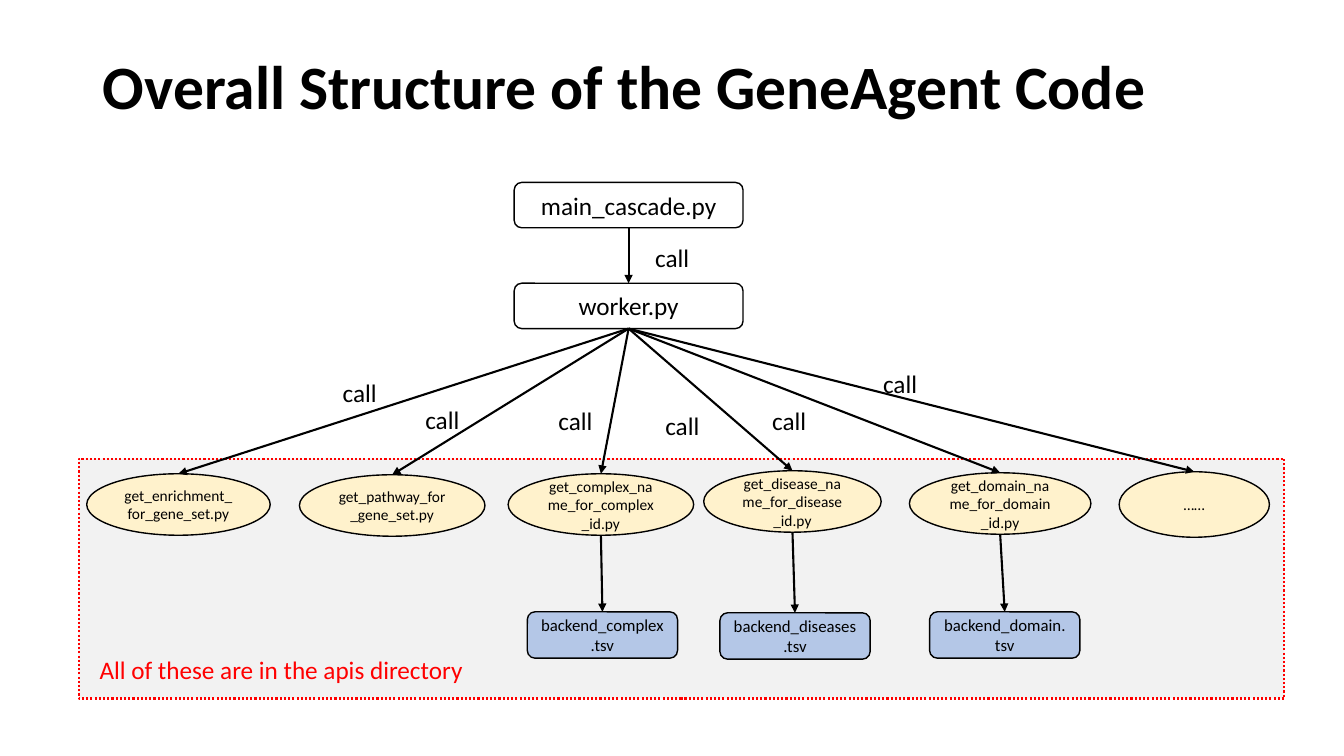
from dataclasses import dataclass
from typing import Optional

import pptx
import pptx.dml.color
import pptx.enum.dml
import pptx.enum.shapes
import pptx.enum.text
import pptx.oxml
import pptx.util
from pptx.util import Inches

RGBColor = pptx.dml.color.RGBColor
BLACK = RGBColor(0x00, 0x00, 0x00)
RED = RGBColor(0xFF, 0x00, 0x00)
WHITE = RGBColor(0xFF, 0xFF, 0xFF)
GREY = RGBColor(0xF2, 0xF2, 0xF2)
CREAM = RGBColor(0xFF, 0xF2, 0xCC)
BLUE = RGBColor(0xB4, 0xC7, 0xE7)

SHAPE = pptx.enum.shapes.MSO_SHAPE
ALIGN = pptx.enum.text.PP_ALIGN
ANCHOR = pptx.enum.text.MSO_ANCHOR
TOP, BOTTOM = 0, 2


@dataclass
class Box:
    left: float
    top: float
    width: float
    height: float
    text: str = ""


@dataclass
class Api:
    script: Box
    data: Optional[Box] = None


REGION = Box(0.78, 4.55, 11.96, 2.38)
CAPTION = Box(0.78, 6.32, 4.02, 0.65, "All of these are in the apis directory")
MAIN = Box(5.1, 1.81, 2.27, 0.45, "main_cascade.py")
WORKER = Box(5.1, 2.81, 2.27, 0.45, "worker.py")
APIS = [
    Api(Box(0.86, 4.7, 1.82, 0.61, "get_enrichment_for_gene_set.py")),
    Api(Box(2.97, 4.71, 1.84, 0.61, "get_pathway_for_gene_set.py")),
    Api(Box(5.04, 4.7, 1.84, 0.61, "get_complex_name_for_complex_id.py"),
        Box(5.23, 6.07, 1.49, 0.46, "backend_complex.tsv")),
    Api(Box(6.98, 4.67, 1.76, 0.61, "get_disease_name_for_disease_id.py"),
        Box(7.14, 6.08, 1.49, 0.46, "backend_diseases.tsv")),
    Api(Box(9.02, 4.69, 1.8, 0.61, "get_domain_name_for_domain_id.py"),
        Box(9.22, 6.07, 1.49, 0.46, "backend_domain.tsv")),
    Api(Box(11.1, 4.68, 1.49, 0.65, "……")),
]
CALL_POSITIONS = [(6.4, 2.35), (3.3, 3.69), (4.12, 3.96), (5.44, 3.97),
                  (6.5, 4.02), (7.56, 3.97), (8.66, 3.61)]


def write(shape, text: str, *, size: float = 18, color: RGBColor = BLACK,
          bold: bool = False, align=ALIGN.CENTER, anchor=ANCHOR.MIDDLE) -> None:
    frame = shape.text_frame
    frame.word_wrap = True
    frame.vertical_anchor = anchor
    paragraph = frame.paragraphs[0]
    paragraph.alignment = align
    run = paragraph.add_run()
    run.text = text
    run.font.name = "Calibri"
    run.font.size = pptx.util.Pt(size)
    run.font.bold = bold
    run.font.color.rgb = color


def place(shape, box: Box) -> None:
    shape.left, shape.top = Inches(box.left), Inches(box.top)
    shape.width, shape.height = Inches(box.width), Inches(box.height)


def add_box(slide, box: Box, kind, *, fill: Optional[RGBColor] = None,
            line: Optional[RGBColor] = BLACK, size: float = 18,
            color: RGBColor = BLACK):
    shape = slide.shapes.add_shape(kind, Inches(box.left), Inches(box.top),
                                   Inches(box.width), Inches(box.height))
    shape.shadow.inherit = False
    if fill is None:
        shape.fill.background()
    else:
        shape.fill.solid()
        shape.fill.fore_color.rgb = fill
    if line is None:
        shape.line.fill.background()
    else:
        shape.line.color.rgb = line
        shape.line.width = pptx.util.Pt(1)
    if box.text:
        write(shape, box.text, size=size, color=color)
    return shape


def add_arrow(slide, source, target, *, join_source: bool = True) -> None:
    connector = slide.shapes.add_connector(
        pptx.enum.shapes.MSO_CONNECTOR.STRAIGHT,
        source.left + source.width // 2, source.top + source.height,
        target.left + target.width // 2, target.top)
    if join_source:
        connector.begin_connect(source, BOTTOM)
    connector.end_connect(target, TOP)
    connector.line.color.rgb = BLACK
    connector.line.width = pptx.util.Pt(1.5)
    line = connector.line._get_or_add_ln()
    pptx.oxml.xmlchemy.OxmlElement  # noqa: B018
    head = pptx.oxml.parse_xml(
        '<a:tailEnd xmlns:a="http://schemas.openxmlformats.org/drawingml/2006/main"'
        ' type="triangle"/>')
    line.append(head)
    line.addnext(pptx.oxml.parse_xml(
        '<a:effectLst xmlns:a="http://schemas.openxmlformats.org/drawingml/2006/main"/>'))


def add_call_label(slide, left: float, top: float) -> None:
    label = slide.shapes.add_textbox(Inches(left), Inches(top),
                                     Inches(1.16), Inches(0.4))
    write(label, "call", align=ALIGN.LEFT, anchor=ANCHOR.TOP)


def main() -> None:
    presentation = pptx.Presentation()
    presentation.slide_width = Inches(13.33)
    presentation.slide_height = Inches(7.5)
    slide = presentation.slides.add_slide(presentation.slide_layouts[5])

    # Title
    title = slide.shapes.title
    place(title, Box(0.92, 0.16, 11.5, 1.45))
    write(title, "Overall Structure of the GeneAgent Code", size=44, bold=True,
          align=ALIGN.LEFT)
    title.text_frame.paragraphs[0].line_spacing = 0.9

    # Directory region
    region = add_box(slide, REGION, SHAPE.RECTANGLE, fill=GREY, line=RED)
    region.line.width = pptx.util.Pt(1.5)
    region.line.dash_style = pptx.enum.dml.MSO_LINE.ROUND_DOT
    add_box(slide, CAPTION, SHAPE.ROUNDED_RECTANGLE, line=None, color=RED)

    # Entry scripts
    main_script = add_box(slide, MAIN, SHAPE.ROUNDED_RECTANGLE, fill=WHITE)
    worker = add_box(slide, WORKER, SHAPE.ROUNDED_RECTANGLE, fill=WHITE)
    add_arrow(slide, main_script, worker)

    # API scripts and their data files
    for api in APIS:
        script = add_box(slide, api.script, SHAPE.OVAL, fill=CREAM, size=11)
        add_arrow(slide, worker, script)
        if api.data:
            data = add_box(slide, api.data, SHAPE.ROUNDED_RECTANGLE,
                           fill=BLUE, size=12)
            add_arrow(slide, script, data, join_source=False)

    # Call labels
    for left, top in CALL_POSITIONS:
        add_call_label(slide, left, top)

    presentation.save("out.pptx")


if __name__ == "__main__":
    main()
